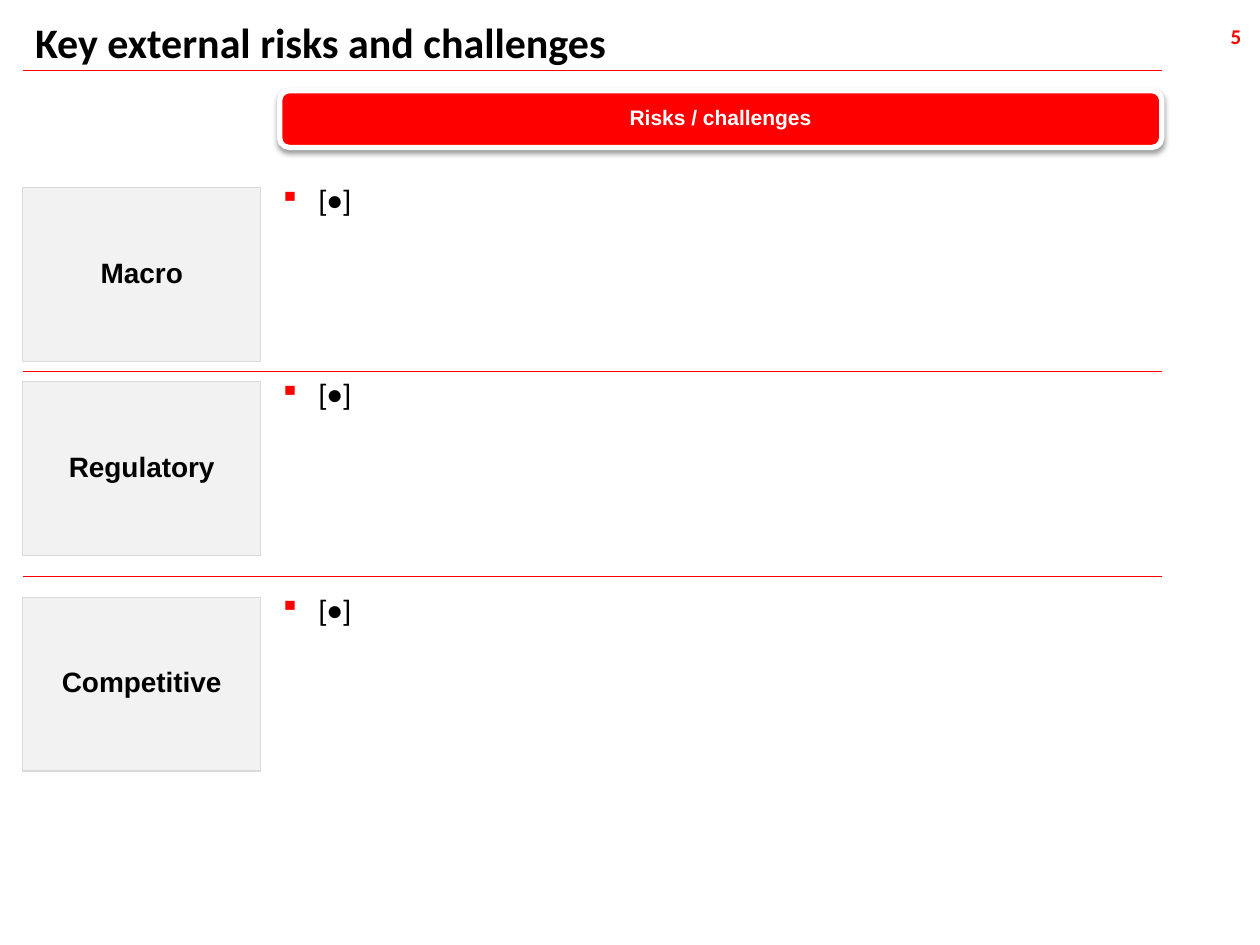
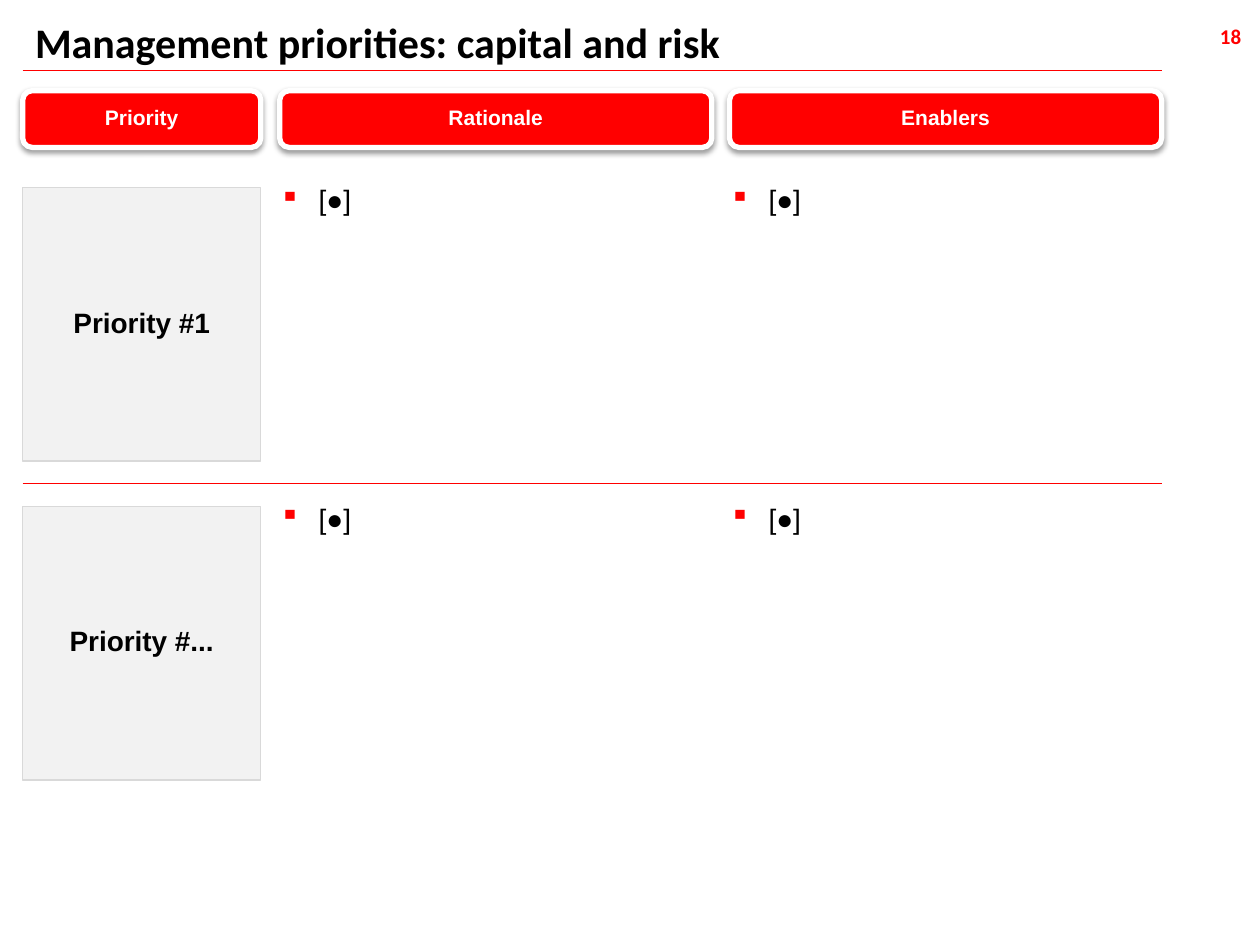
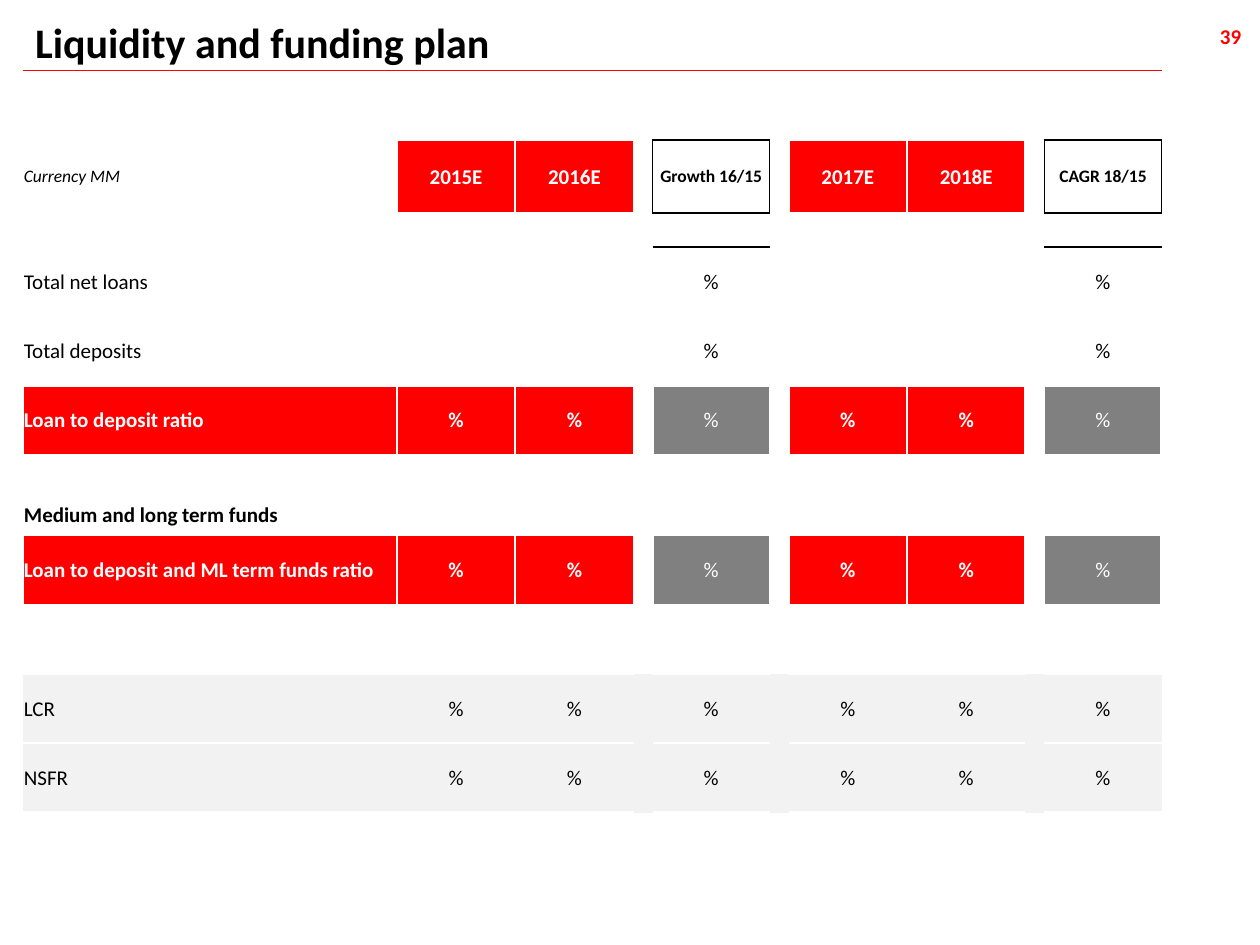
from collections import defaultdict
from dataclasses import dataclass

from lxml.etree import SubElement
from pptx import Presentation
from pptx.dml.color import RGBColor
from pptx.enum.shapes import MSO_CONNECTOR, MSO_SHAPE
from pptx.enum.text import MSO_ANCHOR, PP_ALIGN
from pptx.oxml import parse_xml
from pptx.oxml.ns import nsdecls, qn
from pptx.util import Inches, Pt

COLS, ROWS = 100, 75
LEFT, RIGHT = 1.8, 92.2
LABEL_W = 18.9
BODY_X, BODY_W, BODY_GAP = 22.2, 70, 1.4
HEAD_Y, HEAD_H = 7.2, 4.5
NO_GRID = "{2D5ABB26-0587-4C30-8999-92F81FD0307C}"
SIDES = {"L": (0, -1, "R"), "R": (0, 1, "L"), "T": (-1, 0, "B"), "B": (1, 0, "T")}


@dataclass(frozen=True)
class Theme:
    """Colours, fonts and text formats of the deck."""
    red: str = "FF0000"
    white: str = "FFFFFF"
    black: str = "000000"
    grey: str = "808080"
    pale: str = "F2F2F2"
    edge: str = "D9D9D9"
    thin: float = 0.75
    thick: float = 3

    def font(self, name, size, color, bold=False, italic=False):
        """Return a dict of font attributes."""
        return {"name": name, "size": Pt(size), "bold": bold, "italic": italic,
                "color": color}

    def text(self, kind):
        """Return the font of one kind of text."""
        return self.font(*{
            "title": ("Calibri", 24, self.black, True),
            "page": ("Calibri", 12, self.red, True),
            "header": ("Arial", 12, self.white, True),
            "label": ("Arial", 16, self.black, True),
            "bullet": ("Arial", 16, self.black),
            "strong": ("Calibri", 12, self.black, True),
            "note": ("Calibri", 10, self.black, False, True),
            "box": ("Calibri", 10, self.black, True),
            "red": ("Calibri", 12, self.white, True),
            "grey": ("Calibri", 12, self.white),
        }.get(kind, ("Calibri", 12, self.black)))

    def cell(self, kind):
        """Return fill, edge colour, edge width and edge sides of a cell."""
        return {
            "box": (None, self.black, 1, "LRTB"),
            "red": (self.red, self.white, 1.5, "LRTB"),
            "grey": (self.grey, self.white, 1.5, "LRTB"),
            "top": (self.pale, self.white, 1.5, "T"),
            "bottom": (self.pale, self.white, 1.5, "B"),
            "pale": (self.pale, None, 0, ""),
        }.get(kind, (None, None, 0, ""))


class Deck:
    """Holds the theme and the slide being built."""

    def __init__(self):
        """Open an empty deck of 10 by 7.5 inches."""
        self.theme = Theme()
        self.prs = Presentation()
        self.prs.slide_width, self.prs.slide_height = Inches(10), Inches(7.5)
        self.s = None

    def x(self, cols):
        """Turn grid columns into a length."""
        return round(self.prs.slide_width * cols / COLS)

    def y(self, rows):
        """Turn grid rows into a length."""
        return round(self.prs.slide_height * rows / ROWS)

    def box(self, x, y, w, h):
        """Turn a grid rectangle into lengths."""
        return self.x(x), self.y(y), self.x(w), self.y(h)

    def put_text(self, tf, text, kind, align=PP_ALIGN.LEFT, spacing=None):
        """Add one formatted paragraph and return it."""
        p = tf.paragraphs[0]
        p.alignment = align
        if spacing:
            p.line_spacing = spacing
        r = p.add_run()
        r.text = text
        for key, value in self.theme.text(kind).items():
            if key == "color":
                r.font.color.rgb = RGBColor.from_string(value)
            else:
                setattr(r.font, key, value)
        return p

    def frame(self, sp, margins=(0, 0, 0, 0), anchor=MSO_ANCHOR.TOP):
        """Set margins, anchor and wrapping of a shape's text."""
        tf = sp.text_frame
        left, top, right, bottom = map(Inches, margins)
        for key, value in {"margin_left": left, "margin_top": top,
                           "margin_right": right, "margin_bottom": bottom,
                           "vertical_anchor": anchor, "word_wrap": True}.items():
            setattr(tf, key, value)
        return tf

    def slide(self, title, number):
        """Start a slide with its title, rule and page number."""
        self.s = self.prs.slides.add_slide(self.prs.slide_layouts[6])
        sp = self.s.shapes.add_textbox(*self.box(94.9, 1.4, 4.2, 3.1))
        tf = self.frame(sp, (0.06, 0.05, 0.06, 0.05))
        self.put_text(tf, str(number), "page", PP_ALIGN.RIGHT)
        sp = self.s.shapes.add_textbox(*self.box(LEFT, 0.8, 95.7, 5))
        self.put_text(self.frame(sp, (0.1, 0.05, 0.1, 0.05)), title, "title")
        self.rule(5.6)

    def rule(self, y):
        """Draw a red line across the content."""
        ln = self.s.shapes.add_connector(MSO_CONNECTOR.STRAIGHT, self.x(LEFT),
                                         self.y(y), self.x(RIGHT), self.y(y))
        ln.line.color.rgb = RGBColor.from_string(self.theme.red)
        ln.line.width = Pt(self.theme.thin)
        SubElement(ln._element.spPr, qn("a:effectLst"))

    def panel(self, preset, rect, text, kind, fill, edge, width):
        """Draw a filled shape with centred text."""
        sp = self.s.shapes.add_shape(preset, *self.box(*rect))
        sp.shadow.inherit = False
        sp.fill.solid()
        sp.fill.fore_color.rgb = RGBColor.from_string(fill)
        sp.line.color.rgb = RGBColor.from_string(edge)
        sp.line.width = Pt(width)
        tf = self.frame(sp, anchor=MSO_ANCHOR.MIDDLE)
        self.put_text(tf, text, kind, PP_ALIGN.CENTER, 0.85)
        return sp

    def header(self, x, w, text):
        """Draw a red column header with a soft shadow."""
        t = self.theme
        sp = self.panel(MSO_SHAPE.ROUNDED_RECTANGLE, (x, HEAD_Y, w, HEAD_H), text,
                        "header", t.red, t.white, t.thick)
        sp._element.spPr.find(qn("a:effectLst")).append(parse_xml(
            f'<a:outerShdw {nsdecls("a")} blurRad="40000" dist="20000" dir="5400000" '
            f'rotWithShape="0"><a:srgbClr val="{t.black}"><a:alpha val="38000"/>'
            '</a:srgbClr></a:outerShdw>'))

    def bullet(self, x, y, w, h, text):
        """Add a bulleted text."""
        sp = self.s.shapes.add_textbox(*self.box(x, y, w, h))
        p = self.put_text(self.frame(sp), text, "bullet", spacing=0.85)
        pPr = p._p.get_or_add_pPr()
        indent = Inches(0.31)
        pPr.set("marL", str(indent))
        pPr.set("indent", str(-indent))
        color = SubElement(pPr, qn("a:buClr"))
        SubElement(color, qn("a:srgbClr"), val=self.theme.red)
        SubElement(pPr, qn("a:buChar"), char="▪")

    def bands(self, heads, labels, tops, h, text):
        """Lay out headed columns with one labelled band per top."""
        t, n = self.theme, len(heads)
        w = (BODY_W - BODY_GAP * (n - 1)) / n
        lefts = [BODY_X + i * (w + BODY_GAP) for i in range(n)]
        for x, head in zip(lefts, heads):
            self.header(x, w, head)
        for label, y in zip(labels, tops):
            self.panel(MSO_SHAPE.RECTANGLE, (LEFT, y, LABEL_W, h), label, "label",
                       t.pale, t.edge, t.thin)
            for x in lefts:
                self.bullet(x, y, w, h, text)
        for above, below in zip(tops, tops[1:]):
            self.rule((above + h + below) / 2)

    def table(self, x, y, widths, heights, grid):
        """Draw a table from rows of (text, kind) cells."""
        shape = self.s.shapes.add_table(len(heights), len(widths),
                                        *self.box(x, y, sum(widths), sum(heights)))
        tbl = shape.table
        tbl.first_row = tbl.horz_banding = False
        tbl._tbl.tblPr.find(qn("a:tableStyleId")).text = NO_GRID
        for col, w in zip(tbl.columns, widths):
            col.width = self.x(w)
        for row, h in zip(tbl.rows, heights):
            row.height = self.y(h)
        edges = self.edges(grid)
        for i, row in enumerate(grid):
            for j, (text, kind) in enumerate(row):
                self.cell(tbl.cell(i, j), text, kind, edges[i, j], j > 0)

    def edges(self, grid):
        """Collect each cell's borders, shared with its neighbours."""
        edges = defaultdict(dict)
        for i, row in enumerate(grid):
            for j, (_, kind) in enumerate(row):
                _, color, width, sides = self.theme.cell(kind)
                for side in sides:
                    di, dj, opposite = SIDES[side]
                    edges[i, j][side] = color, width
                    edges[i + di, j + dj][opposite] = color, width
        return edges

    def cell(self, cell, text, kind, borders, centred):
        """Fill and border one table cell and add its text."""
        for key, value in {"margin_left": 0.01, "margin_top": 0.01,
                           "margin_right": 0.01, "margin_bottom": 0}.items():
            setattr(cell, key, Inches(value))
        cell.vertical_anchor = MSO_ANCHOR.MIDDLE
        tcPr = cell._tc.get_or_add_tcPr()
        for side in filter(borders.get, SIDES):
            color, width = borders[side]
            ln = SubElement(tcPr, qn(f"a:ln{side}"), w=str(Pt(width)))
            SubElement(SubElement(ln, qn("a:solidFill")), qn("a:srgbClr"), val=color)
        fill = self.theme.cell(kind)[0]
        if fill:
            cell.fill.solid()
            cell.fill.fore_color.rgb = RGBColor.from_string(fill)
        else:
            cell.fill.background()
        if text:
            self.put_text(cell.text_frame, text, kind,
                          PP_ALIGN.CENTER if centred else PP_ALIGN.LEFT)
        else:
            SubElement(cell.text_frame.paragraphs[0]._p, qn("a:endParaRPr"), sz="1000")


def plan_row(label, years, growth, kinds):
    """Spread label, year and growth texts over the ten plan columns."""
    label_kind, year_kind, growth_kind, gap_kind = kinds.split()
    gap = ("", gap_kind)
    y = [(text, year_kind) for text in years]
    g = [(text, growth_kind) for text in growth]
    return [(label, label_kind), *y[:2], gap, g[0], gap, *y[2:], gap, g[1]]


def main():
    """Build the three slides and save them."""
    deck = Deck()

    deck.slide("Key external risks and challenges", 5)
    deck.bands(["Risks / challenges"], ["Macro", "Regulatory", "Competitive"],
               [14.9, 30.3, 47.4], 13.8, "[●]")

    deck.slide("Management priorities: capital and risk", 18)
    deck.header(LEFT, LABEL_W, "Priority")
    deck.bands(["Rationale", "Enablers"], ["Priority #1", "Priority #..."],
               [14.9, 40.2], 21.7, "[●]")

    deck.slide("Liquidity and funding plan", 39)
    none4, none2, pct4, pct2 = [""] * 4, [""] * 2, ["%"] * 4, ["%"] * 2
    plain, ratio = "plain plain plain plain", "red red grey plain"
    blank = ("", none4, none2, plain)
    rows = [
        (5.8, "Currency MM", ["2015E", "2016E", "2017E", "2018E"],
         ["Growth 16/15", "CAGR 18/15"], "note red box plain"),
        (2.7, *blank),
        (5.5, "Total net loans", none4, pct2, plain),
        (5.5, "Total deposits", none4, pct2, plain),
        (5.5, "Loan to deposit ratio", pct4, pct2, ratio),
        (3.2, *blank),
        (3.2, "Medium and long term funds", none4, none2, "strong plain plain plain"),
        (5.5, "Loan to deposit and ML term funds ratio", pct4, pct2, ratio),
        (5.5, *blank),
        (5.5, "LCR", pct4, pct2, "top top top pale"),
        (5.5, "NSFR", pct4, pct2, "bottom bottom bottom pale"),
    ]
    year, growth, gap = 9.4, 9.3, 1.5
    deck.table(LEFT, 11.1, [29.7, year, year, gap, growth, gap, year, year, gap, growth],
               [row[0] for row in rows], [plan_row(*row[1:]) for row in rows])

    deck.prs.save("out.pptx")


if __name__ == "__main__":
    main()
